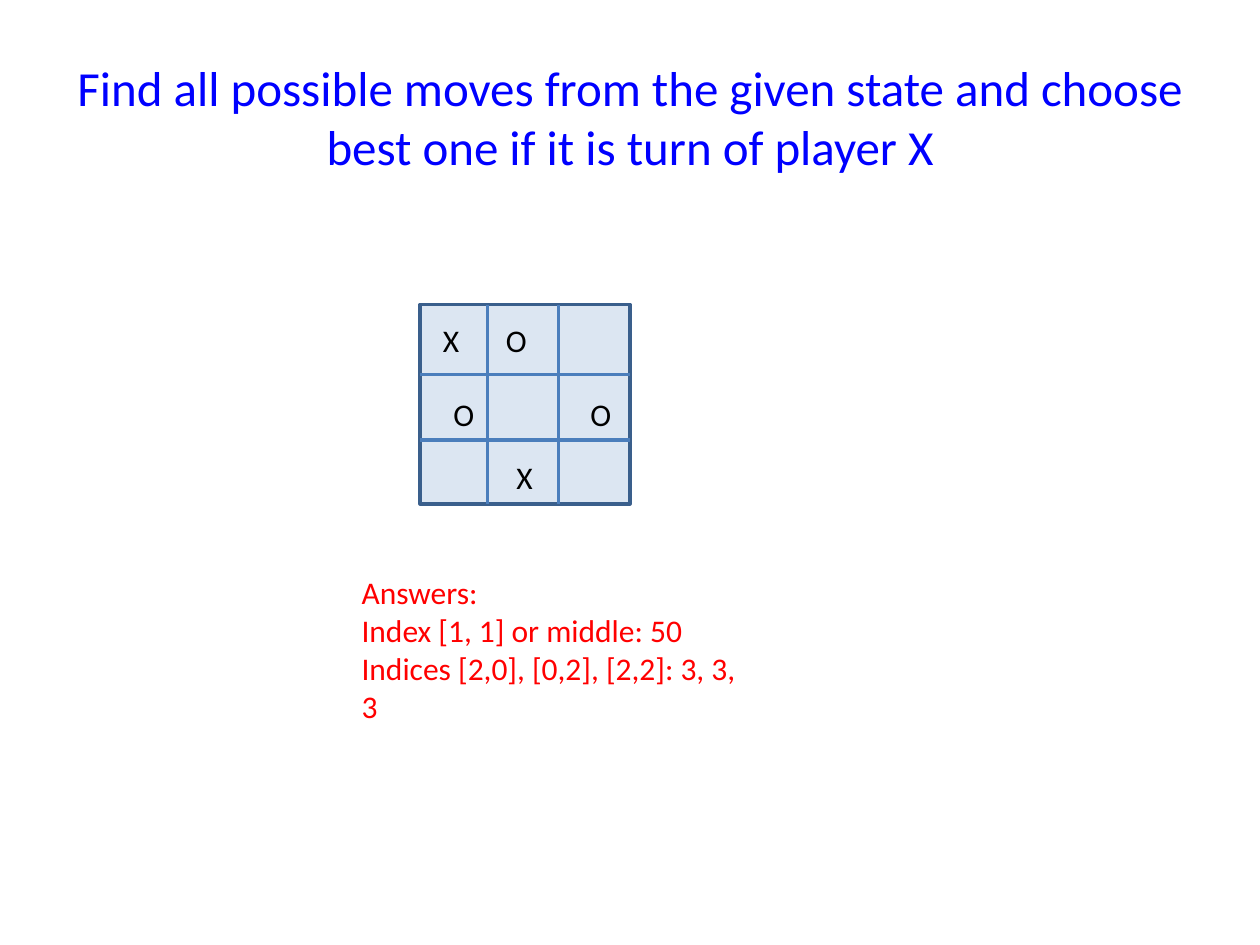
from dataclasses import dataclass

from lxml import etree
from pptx import Presentation
from pptx import util as u
from pptx.dml.color import RGBColor
from pptx.enum import shapes, text
from pptx.oxml.ns import qn


@dataclass(frozen=True)
class Theme:
    font: str = "Calibri"
    title_size: int = 28
    body_size: int = 18
    line_width: int = 2
    title: str = "0000FF"
    mark: str = "000000"
    answer: str = "FF0000"
    board_fill: str = "DCE6F2"
    board_edge: str = "3A5F8C"
    grid: str = "4B7EBC"


THEME = Theme()


def set_line(line, color):
    line.color.rgb = RGBColor.from_string(color)
    line.width = u.Pt(THEME.line_width)


def add_text(page, area, content, size, color, **frame_format):
    box = page.shapes.add_textbox(*map(u.Cm, area))
    frame = box.text_frame
    for name, value in {"word_wrap": True, **frame_format}.items():
        setattr(frame, name, value)
    para = frame.paragraphs[0]
    para.text = content
    span_format = {"name": THEME.font, "size": u.Pt(size)}
    for span in para.runs:
        for name, value in span_format.items():
            setattr(span.font, name, value)
        span.font.color.rgb = RGBColor.from_string(color)
    return para


def add_title(page, area):
    para = add_text(
        page, area,
        "Find all possible moves from the given state and choose "
        "best one if it is turn of player X",
        THEME.title_size, THEME.title,
        vertical_anchor=text.MSO_ANCHOR.MIDDLE,
    )
    para.alignment = text.PP_ALIGN.CENTER


def add_board(page, area):
    left, top, width, height = area
    board = page.shapes.add_group_shape()

    # Square
    square = board.shapes.add_shape(shapes.MSO_SHAPE.RECTANGLE, *map(u.Cm, area))
    square.shadow.inherit = False
    square.fill.solid()
    square.fill.fore_color.rgb = RGBColor.from_string(THEME.board_fill)
    set_line(square.line, THEME.board_edge)

    # Grid lines, as shares of the board
    columns = [left + width * share for share in (0.32, 0.66)]
    rows = [top + height * share for share in (0.35, 0.68)]
    ends = [(x, top, x, top + height) for x in columns]
    ends += [(left, y, left + width, y) for y in rows]
    for points in ends:
        rule = board.shapes.add_connector(
            shapes.MSO_CONNECTOR.STRAIGHT, *map(u.Cm, points))
        set_line(rule.line, THEME.grid)
        etree.SubElement(rule.line._get_or_add_ln().getparent(), qn("a:effectLst"))

    # Marks, as offsets from the board's corner
    marks = [("O", 1.48, 0.21), ("O", 3.18, 1.69), ("O", 0.42, 1.69),
             ("X", 1.69, 2.96), ("X", 0.21, 0.21)]
    for mark, across, down in marks:
        add_text(page, (left + across, top + down, 0.85, 1.03), mark,
                 THEME.body_size, THEME.mark)


def add_answers(page, area):
    add_text(
        page, area,
        "Answers:\vIndex [1, 1] or middle: 50\v"
        "Indices [2,0], [0,2], [2,2]: 3, 3, 3",
        THEME.body_size, THEME.answer,
    )


def build():
    deck = Presentation()
    deck.slide_width, deck.slide_height = u.Cm(25.4), u.Cm(19.05)
    page = deck.slides.add_slide(deck.slide_layouts[6])
    add_title(page, (1.27, 0.76, 22.86, 3.18))
    add_board(page, (8.47, 6.14, 4.23, 4.02))
    add_answers(page, (7.04, 11.43, 8.5, 2.57))
    deck.save("out.pptx")


build()
